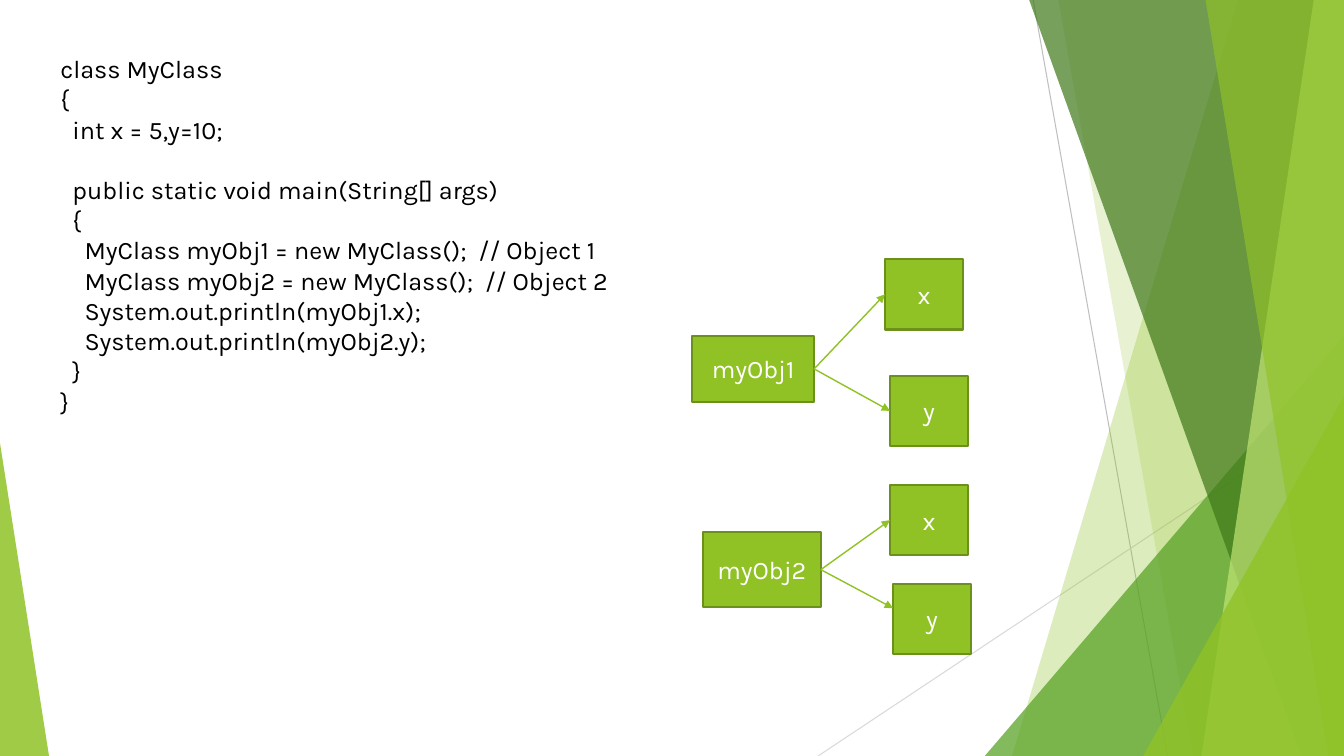
from pptx import Presentation
from pptx.util import Inches, Pt
from pptx.dml.color import RGBColor
from pptx.enum.shapes import MSO_SHAPE as Kind, MSO_CONNECTOR as Link
from pptx.enum.text import PP_ALIGN as Align, MSO_ANCHOR as Anchor
from pptx.oxml.ns import qn
from lxml.etree import SubElement

LIME = RGBColor(0x90, 0xC2, 0x26)
OLIVE = RGBColor(0x6B, 0x90, 0x1C)
GREEN = RGBColor(0x54, 0xA0, 0x21)
DARK = RGBColor(0x3F, 0x78, 0x19)
PALE = RGBColor(0xC0, 0xE4, 0x74)
GRAY = RGBColor(0xBF, 0xBF, 0xBF)
SILVER = RGBColor(0xD9, 0xD9, 0xD9)
BLACK = RGBColor(0, 0, 0)
WHITE = RGBColor(255, 255, 255)
FONT = "Karla"
COLS, ROWS = 40, 22.5

deck = Presentation()
deck.slide_width, deck.slide_height = Inches(13.333), Inches(7.5)
cell = deck.slide_width / COLS
slide = deck.slides.add_slide(deck.slide_layouts[6])
shapes = slide.shapes


def grid(*nums):
    return [round(num * cell) for num in nums]


def draw(ends, color, width):
    line = shapes.add_connector(Link.STRAIGHT, *grid(*ends))
    line.line.color.rgb = color
    line.line.width = Pt(width)
    SubElement(line._element.spPr, qn("a:effectLst"))
    return line


draw((30.75, 0, 34.75, ROWS), GRAY, 0.75)
draw((COLS, 12.1, 24.35, ROWS), SILVER, 0.75)

decor = [
    ("band", (36.84, 30.12), LIME, 30),
    ("band", (31.5, 35.5), LIME, 20),
    ("wedge", (29.31, 10, 10.69, 12.5, 1), GREEN, 72),
    ("band", (30.63, 38.73), DARK, 70),
    ("band", (39.1, 35.76), PALE, 70),
    ("band", (35.88, 39.54), LIME, 65),
    ("wedge", (34.02, 11.8, 5.98, 10.7, 1), LIME, 80),
    ("wedge", (0, 13.18, 1.46, 9.32, 0), LIME, 85),
]
for kind, place, color, alpha in decor:
    if kind == "band":
        top, base = place
        pen = shapes.build_freeform(*grid(top, 0))
        pen.add_line_segments([grid(COLS, 0), grid(COLS, ROWS), grid(base, ROWS)])
        part = pen.convert_to_shape()
    else:
        part = shapes.add_shape(Kind.ISOSCELES_TRIANGLE, *grid(*place[:4]))
        part.adjustments[0] = place[4]
    part.shadow.inherit = False
    part.line.fill.background()
    part.fill.solid()
    part.fill.fore_color.rgb = color
    tint = part._element.spPr.find(qn("a:solidFill"))[0]
    SubElement(tint, qn("a:alpha"), val=str(alpha * 1000))

code = [
    (0, "class MyClass"),
    (0, "{"),
    (1, "int x = 5,y=10;"),
    (1, "public static void main(String[] args)"),
    (1, "{"),
    (2, "MyClass myObj1 = new MyClass();  // Object 1"),
    (2, "MyClass myObj2 = new MyClass();  // Object 2"),
    (2, "System.out.println(myObj1.x);"),
    (2, "System.out.println(myObj2.y);"),
    (1, "}"),
    (0, "}"),
]
frame = shapes.add_textbox(*grid(1.5, 1.44, 19.1, 11.22)).text_frame
frame.word_wrap = True
for num, (depth, text) in enumerate(code):
    para = frame.add_paragraph() if num else frame.paragraphs[0]
    para.text = text
    para.font.name, para.font.size = FONT, Pt(18)
    para.font.color.rgb = BLACK
    para._p.get_or_add_pPr().set("marL", str(depth * Inches(0.12)))
    if text.startswith("public"):
        para.space_before = Pt(21.6)

boxes = {}
for key, text, place in [
    ("obj1", "myObj1", (20.6, 10, 3.63, 1.96)),
    ("y2", "y", (26.58, 17.37, 2.32, 2.1)),
    ("x2", "x", (26.49, 14.43, 2.32, 2.1)),
    ("y1", "y", (26.49, 11.18, 2.32, 2.1)),
    ("x1", "x", (26.34, 7.71, 2.32, 2.1)),
    ("obj2", "myObj2", (20.92, 15.84, 3.51, 2.23)),
]:
    box = boxes[key] = shapes.add_shape(Kind.RECTANGLE, *grid(*place))
    box.shadow.inherit = False
    box.fill.solid()
    box.fill.fore_color.rgb = LIME
    box.line.color.rgb = OLIVE
    box.line.width = Pt(1.5)
    box.text_frame.vertical_anchor = Anchor.MIDDLE
    para = box.text_frame.paragraphs[0]
    para.text = text
    para.alignment = Align.CENTER
    para.font.name, para.font.size = FONT, Pt(18)
    para.font.color.rgb = WHITE

for start, end in [("obj1", "x1"), ("obj1", "y1"), ("obj2", "y2"), ("obj2", "x2")]:
    arrow = draw((24.43, 16.95, 26.58, 18.1), LIME, 1)
    arrow.begin_connect(boxes[start], 3)
    if end != "y2":
        arrow.end_connect(boxes[end], 1)
    SubElement(arrow.line._get_or_add_ln(), qn("a:tailEnd"), type="triangle")

deck.save("out.pptx")
